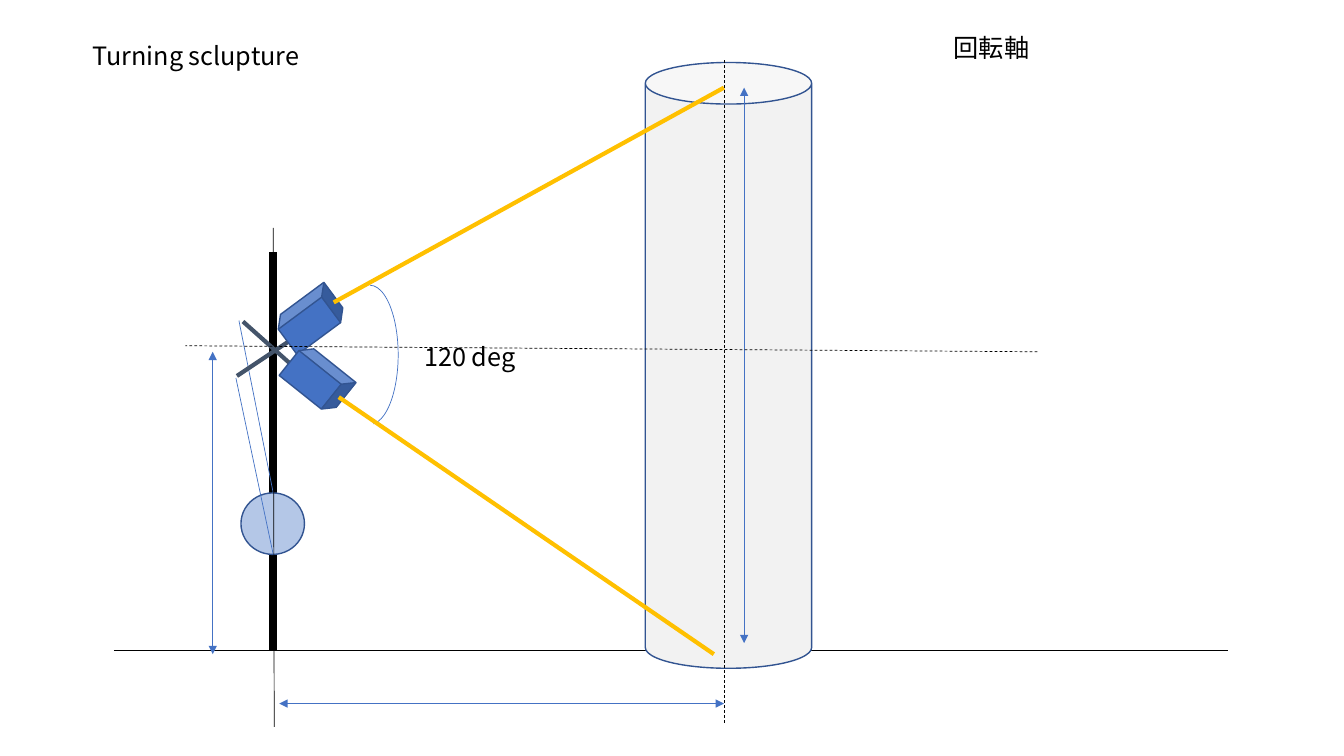
from dataclasses import dataclass

from lxml.etree import SubElement
from pptx import Presentation
from pptx.dml.color import RGBColor
from pptx.enum.dml import MSO_LINE
from pptx.enum.shapes import MSO_CONNECTOR, MSO_SHAPE
from pptx.enum.text import MSO_AUTO_SIZE
from pptx.oxml.ns import qn
from pptx.shapes.shapetree import GroupShapes, SlideShapes
from pptx.util import Inches, Pt

Point = tuple[float, float]
Shapes = SlideShapes | GroupShapes


@dataclass(frozen=True)
class Theme:
    black: str = "000000"
    blue: str = "4472C4"
    outline: str = "325491"
    column: str = "F2F2F2"
    weight: str = "B4C7E7"
    bracket: str = "44546A"
    beam: str = "FFC000"
    font: str = "Noto Sans CJK JP"
    text_size: float = 18
    thin: float = 0.5
    edge: float = 1
    thick: float = 3
    pole: float = 6


THEME = Theme()


@dataclass(frozen=True)
class Stroke:
    start: Point
    end: Point
    color: str = THEME.black
    width: float = THEME.thin
    dashed: bool = False
    arrows: bool = False


@dataclass(frozen=True)
class Solid:
    kind: MSO_SHAPE
    corner: Point
    size: Point
    fill: str | None = None
    line: str = THEME.outline
    width: float = THEME.edge
    rotation: float = 0
    adjustments: tuple[float, ...] = ()


@dataclass(frozen=True)
class Label:
    text: str
    corner: Point
    width: float


@dataclass(frozen=True)
class Lamp:
    bracket: tuple[Point, Point]
    corner: Point
    rotation: float
    beam: tuple[Point, Point]


Item = Stroke | Solid | Label | Lamp

POLE_X = 2.71
AXIS_X = 7.18
GROUND_Y = 6.45


def dimension(start: Point, end: Point) -> Stroke:
    """Describe a thin measuring line with an arrowhead at both ends."""
    return Stroke(start, end, THEME.blue, arrows=True)


ITEMS: list[Item] = [
    Stroke((1.13, GROUND_Y), (12.18, GROUND_Y)),
    Stroke((POLE_X, GROUND_Y), (POLE_X, 2.5), width=THEME.pole),
    Solid(MSO_SHAPE.CAN, (6.4, 0.62), (1.65, 6.01), THEME.column),
    Solid(MSO_SHAPE.OVAL, (2.39, 4.89), (0.63, 0.61), THEME.weight),
    Stroke((2.34, 3.75), (POLE_X, 5.5), THEME.blue),
    Stroke((2.37, 3.18), (POLE_X, 4.89), THEME.blue),
    Stroke((AXIS_X, 7.17), (AXIS_X, 0.59), dashed=True),
    Stroke((POLE_X, 2.26), (2.72, 7.21)),
    dimension((2.77, 6.98), (AXIS_X, 6.98)),
    dimension((7.38, 0.87), (7.38, 6.38)),
    Solid(MSO_SHAPE.ARC, (3.39, 2.83), (0.56, 1.38), line=THEME.blue,
          width=THEME.thin, adjustments=(162, 52.3)),
    Label("120 deg", (4.11, 3.34), 1.12),
    dimension((2.11, 3.49), (2.11, 6.49)),
    Label("Turning sclupture", (0.82, 0.35), 2.26),
    Label("回転軸", (9.36, 0.27), 0.96),
    Lamp(((2.35, 3.73), (2.86, 3.39)), (2.76, 2.95), 323.5, ((3.31, 3), (AXIS_X, 0.87))),
    Lamp(((2.41, 3.19), (2.87, 3.6)), (2.83, 3.55), 38.6, ((3.36, 3.94), (7.08, 6.49))),
    Stroke((10.29, 3.49), (1.84, 3.43), dashed=True),
]


def draw_stroke(shapes: Shapes, stroke: Stroke) -> None:
    ends = [Inches(value) for value in (*stroke.start, *stroke.end)]
    connector = shapes.add_connector(MSO_CONNECTOR.STRAIGHT, *ends)
    line = connector.line
    line.color.rgb = RGBColor.from_string(stroke.color)
    line.width = Pt(stroke.width)
    if stroke.dashed:
        line.dash_style = MSO_LINE.DASH
    properties = connector._element.spPr
    if stroke.arrows:
        outline = properties.find(qn("a:ln"))
        for tag in ("a:headEnd", "a:tailEnd"):
            SubElement(outline, qn(tag), type="triangle")
    SubElement(properties, qn("a:effectLst"))


def draw_solid(shapes: Shapes, solid: Solid) -> None:
    frame = [Inches(value) for value in (*solid.corner, *solid.size)]
    shape = shapes.add_shape(solid.kind, *frame)
    shape.shadow.inherit = False
    shape.rotation = solid.rotation
    for index, value in enumerate(solid.adjustments):
        shape.adjustments[index] = value
    if solid.fill:
        shape.fill.solid()
        shape.fill.fore_color.rgb = RGBColor.from_string(solid.fill)
    else:
        shape.fill.background()
    shape.line.color.rgb = RGBColor.from_string(solid.line)
    shape.line.width = Pt(solid.width)


def draw_label(shapes: Shapes, label: Label) -> None:
    frame = [Inches(value) for value in (*label.corner, label.width, 0.4)]
    box = shapes.add_textbox(*frame)
    box.text_frame.word_wrap = False
    box.text_frame.auto_size = MSO_AUTO_SIZE.SHAPE_TO_FIT_TEXT
    span = box.text_frame.paragraphs[0].add_run()
    span.text = label.text
    span.font.size = Pt(THEME.text_size)
    span.font.color.rgb = RGBColor.from_string(THEME.black)
    span.font.name = THEME.font
    SubElement(span.font._element, qn("a:ea"), typeface=THEME.font)


def draw_lamp(shapes: Shapes, lamp: Lamp) -> None:
    """Group a lamp's bracket, rotated housing and beam."""
    parts = shapes.add_group_shape().shapes
    draw_stroke(parts, Stroke(*lamp.bracket, THEME.bracket, THEME.thick))
    draw_solid(parts, Solid(MSO_SHAPE.CUBE, lamp.corner, (0.64, 0.42), THEME.blue,
                            rotation=lamp.rotation))
    draw_stroke(parts, Stroke(*lamp.beam, THEME.beam, THEME.thick))


def main() -> None:
    deck = Presentation()
    deck.slide_width = Inches(13.33)
    deck.slide_height = Inches(7.5)
    page = deck.slides.add_slide(deck.slide_layouts[6])
    painters = {Stroke: draw_stroke, Solid: draw_solid, Label: draw_label, Lamp: draw_lamp}
    for item in ITEMS:
        painters[type(item)](page.shapes, item)
    deck.save("out.pptx")


if __name__ == "__main__":
    main()
